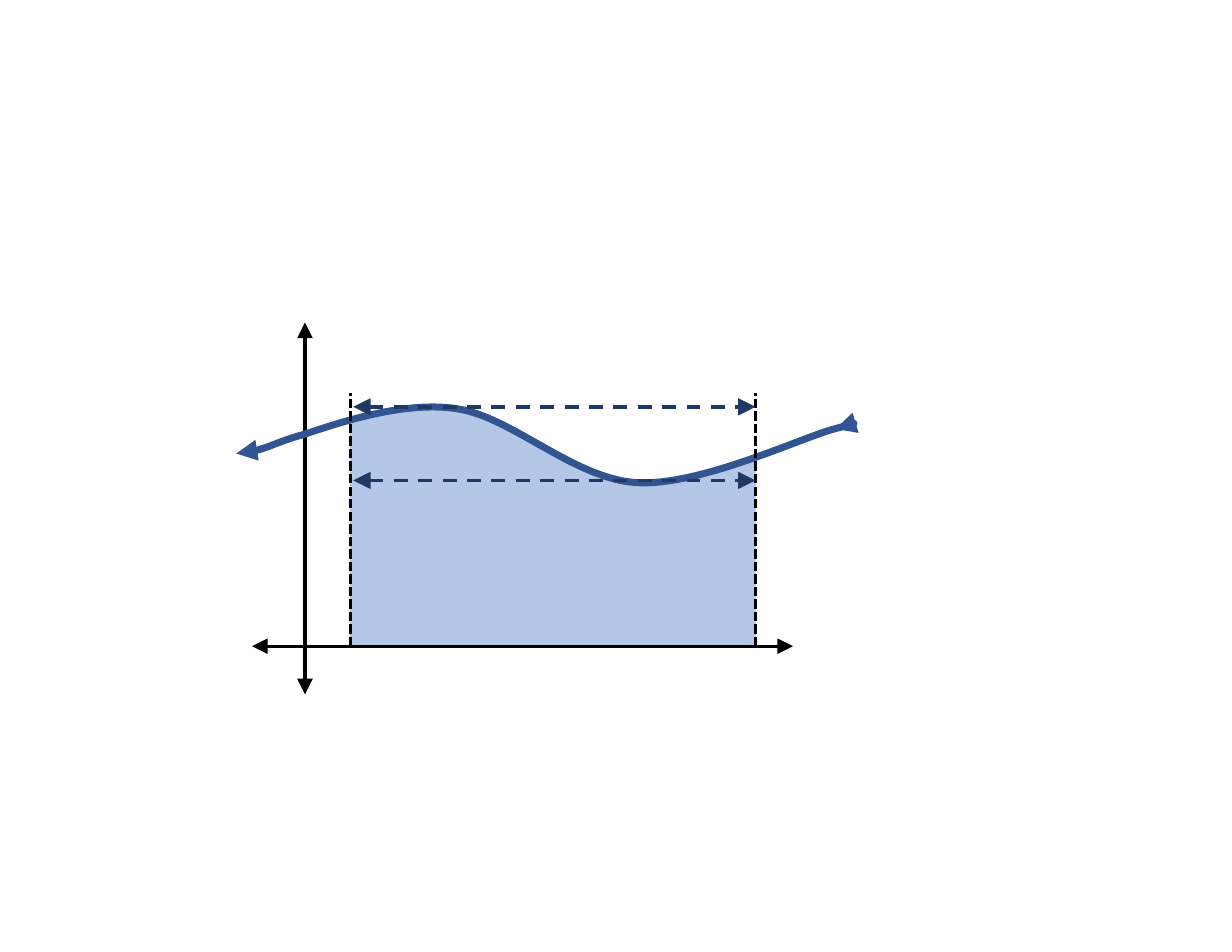
from pptx import Presentation
from pptx.dml.color import RGBColor
from pptx.enum.dml import MSO_LINE
from pptx.enum.shapes import MSO_CONNECTOR
from pptx.oxml.ns import qn
from pptx.util import Inches, Pt
from lxml.etree import SubElement

COLS, ROWS = 58, 35
BASE, LEFT, RIGHT = 29.7, 11.26, 47.46
PEAK, VALLEY = 8.33, 14.9

AREA_BOX = (LEFT, 8.3, RIGHT, BASE)
AREA_TOP = [(LEFT, 9.7), (13.4, 9), (15.9, 8.3), (18.3, 8.3),
            (19.5, 8.3), (20.8, 8.4), (22.2, 8.7),
            (25.9, 9.7), (31.2, 14.2), (35.4, 14.8),
            (39.6, 15.5), (44.3, 13.7), (RIGHT, 12.8)]
CURVE_BOX = (1.1, 8.3, 56.2, 15.1)
CURVE = [(1.1, 12.5), (3.3, 12.4), (4.9, 11.4), (7.1, 10.8),
         (9.3, 10.1), (15.8, 7.7), (20.8, 8.5),
         (25.7, 9.2), (31.3, 14.8), (36.9, 15.1),
         (42.5, 15.4), (51.5, 11.1), (54.5, 10.3),
         (57.4, 9.5), (55.8, 9.9), (54.6, 10.3)]


def rgb(value):
    return RGBColor.from_string(value)


def style_line(sp, color, width, dash=None, arrow=None):
    sp.line.color.rgb = rgb(color)
    sp.line.width = Pt(width)
    if dash:
        sp.line.dash_style = dash
    if arrow:
        ln = sp.line._get_or_add_ln()
        for end in ("a:headEnd", "a:tailEnd"):
            SubElement(ln, qn(end), type="triangle", w=arrow, len=arrow)


def add_line(s, start, end, *style):
    sp = s.shapes.add_connector(MSO_CONNECTOR.STRAIGHT, *start, *end)
    style_line(sp, *style)
    SubElement(sp._element.spPr, qn("a:effectLst"))


def add_curved_shape(s, corners, curve, corner_points=()):
    (x0, y0), (x1, y1) = corners
    builder = s.shapes.build_freeform(x0, y0)
    builder.add_line_segments([(x1, y1)], close=False)
    sp = builder.convert_to_shape()
    sp.shadow.inherit = False
    outline = next(sp._element.iter(qn("a:path")))
    for child in list(outline):
        outline.remove(child)

    def add_step(tag, points):
        step = SubElement(outline, qn(tag))
        for x, y in points:
            SubElement(step, qn("a:pt"), x=str(x - x0), y=str(y - y0))

    add_step("a:moveTo", curve[:1])
    for i in range(1, len(curve), 3):
        add_step("a:cubicBezTo", curve[i:i + 3])
    for point in corner_points:
        add_step("a:lnTo", [point])
    if corner_points:
        add_step("a:close", [])
    return sp


def add_plot(s, left, top, width, height):
    def at(col, row):
        return (round(left + width * col / COLS), round(top + height * row / ROWS))

    def place(points):
        return [at(*p) for p in points]

    def corners(box):
        return place([box[:2], box[2:]])

    area = add_curved_shape(s, corners(AREA_BOX), place(AREA_TOP),
                            place([(RIGHT, BASE), (LEFT, BASE)]))
    area.fill.solid()
    area.fill.fore_color.rgb = rgb("B4C7E7")
    area.line.fill.background()

    add_line(s, at(2.5, BASE), at(50.8, BASE), "000000", 2, None, "lg")
    add_line(s, at(7.23, 34), at(7.23, 0.8), "000000", 2, None, "lg")

    curve = add_curved_shape(s, corners(CURVE_BOX), place(CURVE))
    curve.fill.background()
    style_line(curve, "325491", 4.5, None, "med")

    for col in (RIGHT, LEFT):
        add_line(s, at(col, BASE), at(col, 7.1), "000000", 2, MSO_LINE.SQUARE_DOT)
    for row in (PEAK, VALLEY):
        add_line(s, at(11.54, row), at(RIGHT, row), "203864", 2.25, MSO_LINE.DASH, "lg")


def main():
    prs = Presentation()
    prs.slide_width, prs.slide_height = Inches(11), Inches(8.5)
    s = prs.slides.add_slide(prs.slide_layouts[6])
    add_plot(s, Inches(2), Inches(2.8), Inches(5.8), Inches(3.5))
    prs.save("out.pptx")


if __name__ == "__main__":
    main()
